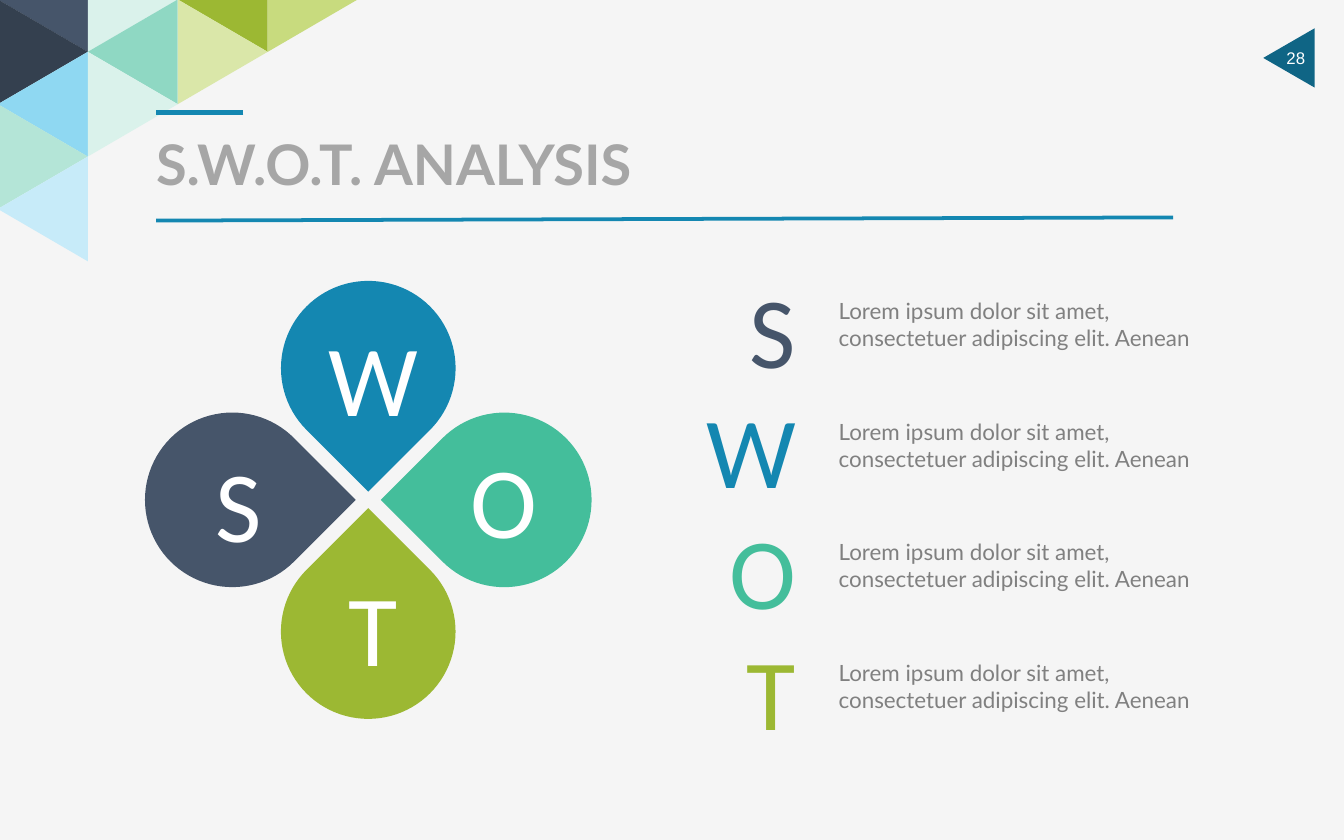
from lxml.etree import SubElement
from pptx import Presentation
from pptx.dml.color import RGBColor
from pptx.enum.shapes import MSO_CONNECTOR, MSO_SHAPE
from pptx.enum.text import MSO_ANCHOR, PP_ALIGN
from pptx.oxml.ns import qn
from pptx.util import Cm, Pt


def add_filled_shape(kind, left, top, width, height, rotation, color):
    shape = slide.shapes.add_shape(kind, Cm(left), Cm(top), Cm(width), Cm(height))
    shape.rotation = rotation
    shape.shadow.inherit = False
    shape.fill.solid()
    shape.fill.fore_color.rgb = RGBColor.from_string(color)
    shape.line.fill.background()


def add_text(text, left, top, width, height, font, size, color,
             alignment=PP_ALIGN.LEFT, anchor=MSO_ANCHOR.TOP, margins=(0, 0), bold=False):
    text_box = slide.shapes.add_textbox(Cm(left), Cm(top), Cm(width), Cm(height))
    text_frame = text_box.text_frame
    text_frame.word_wrap = True
    text_frame.vertical_anchor = anchor
    text_frame.margin_left = text_frame.margin_right = Cm(margins[0])
    text_frame.margin_top = text_frame.margin_bottom = Cm(margins[1])
    text_frame.text = text
    paragraph = text_frame.paragraphs[0]
    paragraph.alignment = alignment
    run = paragraph.runs[0]
    run.font.name = font
    run.font.size = Pt(size)
    run.font.bold = bold
    run.font.color.rgb = RGBColor.from_string(color)


presentation = Presentation()
presentation.slide_width = Cm(25.4)
presentation.slide_height = Cm(15.88)
slide = presentation.slides.add_slide(presentation.slide_layouts[6])
slide.background.fill.solid()
slide.background.fill.fore_color.rgb = RGBColor.from_string("F5F5F5")

add_filled_shape(MSO_SHAPE.ISOSCELES_TRIANGLE, 23.8, 0.61, 1.12, 0.97, 270, "0F6585")
add_text("28", 24.24, 0.74, 0.5, 0.69, "Arial", 9, "FFFFFF",
         PP_ALIGN.CENTER, MSO_ANCHOR.MIDDLE)

triangle_columns = [
    ["46556A", "34404F", "8FD8F2", "B4E5D7", "C7EBF9"],
    ["DAF2EB", "8FD8C3", "DAF2EB"],
    ["9CB833", "DAE7A9"],
    ["C8DB7E"],
]
for column, colors in enumerate(triangle_columns):
    for row, color in enumerate(colors):
        rotation = 270 if (column + row) % 2 == 0 else 90
        add_filled_shape(MSO_SHAPE.ISOSCELES_TRIANGLE, -0.18 + 1.7 * column,
                         -0.86 + 0.99 * row, 1.98, 1.7, rotation, color)

title_lines = [(2.95, 4.17, 22.17, 4.11, 2), (4.6, 2.13, 2.95, 2.13, 3)]
for start_x, start_y, end_x, end_y, weight in title_lines:
    line = slide.shapes.add_connector(MSO_CONNECTOR.STRAIGHT, Cm(start_x), Cm(start_y),
                                      Cm(end_x), Cm(end_y))
    line.line.color.rgb = RGBColor.from_string("1487B1")
    line.line.width = Pt(weight)
    SubElement(line._element.spPr, qn("a:effectLst"))

add_text("S.W.O.T. ANALYSIS", 2.95, 2.59, 19.2, 0.99, "Lato", 30, "A6A6A6",
         anchor=MSO_ANCHOR.MIDDLE, margins=(0, 0.1), bold=True)

petals = [
    ("S", "46556A", 2.74, 7.8, 45, 2.92, 8.36),
    ("W", "1487B1", 5.31, 5.31, 135, 5.46, 5.97),
    ("O", "44BE9B", 7.88, 7.8, 225, 7.92, 8.28),
    ("T", "9CB833", 5.31, 10.29, 315, 5.46, 10.69),
]
for row, (letter, color, left, top, rotation, letter_left, letter_top) in enumerate(petals):
    add_filled_shape(MSO_SHAPE.TEAR, left, top, 3.3, 3.3, rotation, color)
    add_text(letter, letter_left, letter_top, 3.2, 1.83, "Calibri", 54, "FFFFFF",
             PP_ALIGN.CENTER)
    row_offset = 2.28 * row
    add_text("Lorem ipsum dolor sit amet, consectetuer adipiscing elit. Aenean",
             15.6, 5.49 + row_offset, 7.54, 1.27, "Lato", 12, "808080", margins=(0.25, 0.13))
    add_text(letter, 12.79, 4.93 + row_offset, 2.5, 2.57, "Calibri", 54, color,
             PP_ALIGN.RIGHT, margins=(0.25, 0.13))

presentation.save("out.pptx")
